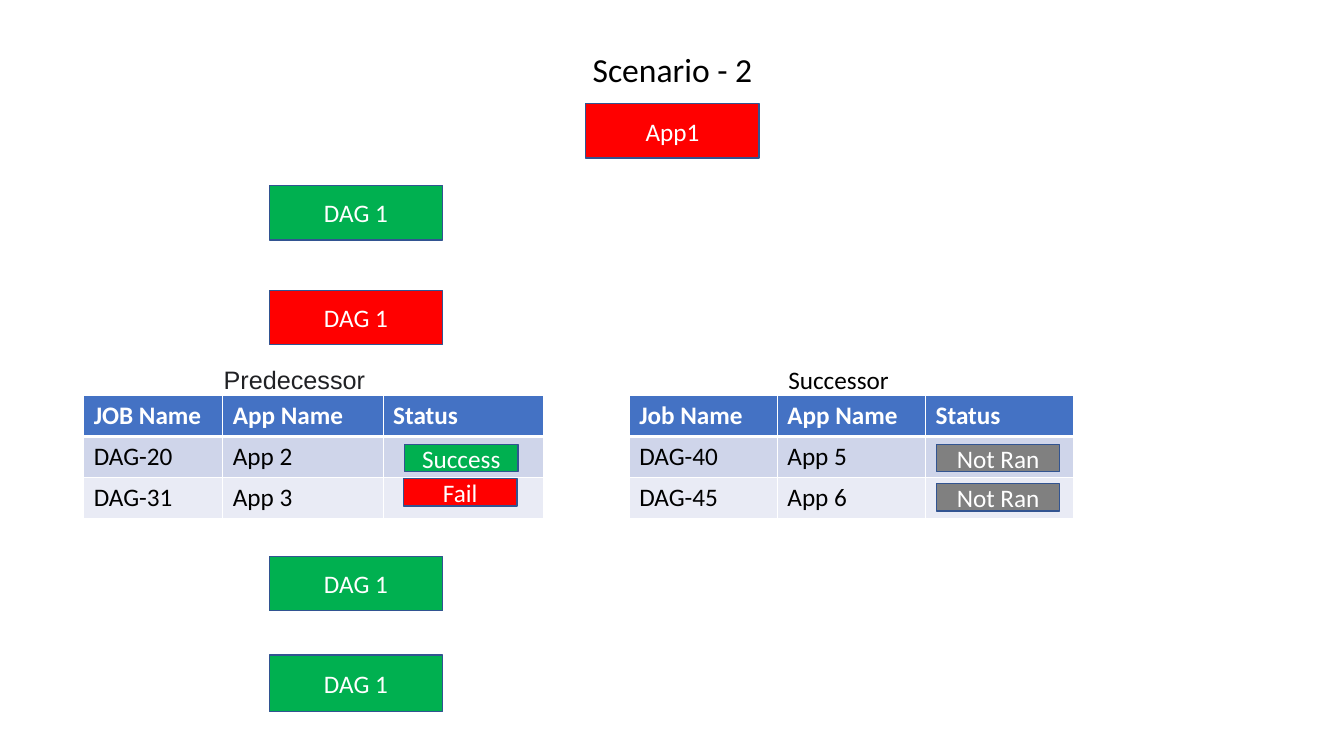
from lxml import etree
from pptx import Presentation
from pptx.dml.color import RGBColor
from pptx.enum.shapes import MSO_SHAPE
from pptx.enum.text import MSO_ANCHOR, PP_ALIGN
from pptx.oxml.ns import qn
from pptx.util import Inches, Pt

RECT = MSO_SHAPE.RECTANGLE
MID = MSO_ANCHOR.MIDDLE
LEFT, MIDST = PP_ALIGN.LEFT, PP_ALIGN.CENTER

THEME = {
    "font": "Calibri", "alt": "Arial", "title": 24, "body": 18,
    "black": "000000", "white": "FFFFFF", "ink": "202124", "edge": "325491",
    "good": "00B050", "bad": "FF0000", "idle": "808080",
    "head": "4472C4", "bands": ("CFD5EA", "E9EBF5"),
}

# Content: text, state, left, top, width, height
TITLE = "Scenario - 2"
APP = ("App1", "bad", 5.81, 1.03, 1.72, 0.54)
DAGS = [("DAG 1", state, 2.67, top, 1.72, high) for state, top, high in [
    ("good", 1.84, 0.54), ("bad", 2.88, 0.54),
    ("good", 5.52, 0.54), ("good", 6.5, 0.56)]]
BADGES = [
    ("Success", "good", 4.01, 4.41, 1.13, 0.27),
    ("Fail", "bad", 4, 4.75, 1.13, 0.27),
    ("Not Ran", "idle", 9.29, 4.41, 1.22, 0.27),
    ("Not Ran", "idle", 9.29, 4.8, 1.22, 0.27),
]
TABLES = [
    {"left": 0.83, "cols": (1.38, 1.59, 1.59), "rows": [
        ("JOB Name ", "App Name", "Status"),
        ("DAG-20", "App 2", ""), ("DAG-31", "App 3", "")]},
    {"left": 6.24, "cols": (1.47, 1.47, 1.47), "rows": [
        ("Job Name", "App Name", "Status"),
        ("DAG-40", "App 5", ""), ("DAG-45", "App 6", "")]},
]
LABELS = [("Predecessor", 2.12, 2, "alt", "ink"),
          ("Successor", 7.72, 1.72, "font", "black")]
TABLE_TOP, ROW, LABEL_TOP = 3.92, 0.41, 3.57


def rgb(code):
    return RGBColor.from_string(code)


def write(frame, text, color, size="body", font="font", bold=False, align=LEFT):
    para = frame.paragraphs[0]
    para.alignment = align
    run = para.add_run()
    run.text = text
    run.font.name = THEME[font]
    run.font.size = Pt(THEME[size])
    run.font.bold = bold
    run.font.color.rgb = rgb(THEME[color])
    return para


def add_text(slide, box, text, color, **style):
    frame = slide.shapes.add_textbox(*map(Inches, box)).text_frame
    frame.word_wrap = True
    return write(frame, text, color, **style)


def add_box(slide, text, state, *box):
    shape = slide.shapes.add_shape(RECT, *map(Inches, box))
    shape.shadow.inherit = False
    shape.fill.solid()
    shape.fill.fore_color.rgb = rgb(THEME[state])
    shape.line.color.rgb = rgb(THEME["edge"])
    shape.line.width = Pt(1)
    frame = shape.text_frame
    frame.word_wrap = True
    frame.vertical_anchor = MID
    write(frame, text, "white", align=MIDST)


def add_edges(cell, head):
    props = cell._tc.get_or_add_tcPr()
    for side in "LRTB":
        wide = Pt(3 if head and side == "B" else 1)
        line = etree.SubElement(props, qn("a:ln" + side), w=str(wide))
        fill = etree.SubElement(line, qn("a:solidFill"))
        etree.SubElement(fill, qn("a:srgbClr"), val=THEME["white"])


def add_grid(slide, left, cols, rows):
    box = (left, TABLE_TOP, sum(cols), ROW * len(rows))
    grid = slide.shapes.add_table(len(rows), len(cols), *map(Inches, box)).table
    for col, wide in zip(grid.columns, cols):
        col.width = Inches(wide)
    for r, row in enumerate(rows):
        head = r == 0
        tint = THEME["head"] if head else THEME["bands"][(r - 1) % 2]
        for c, text in enumerate(row):
            cell = grid.cell(r, c)
            add_edges(cell, head)
            cell.fill.solid()
            cell.fill.fore_color.rgb = rgb(tint)
            if text:
                write(cell.text_frame, text, "white" if head else "black", bold=head)


deck = Presentation()
deck.slide_width, deck.slide_height = Inches(13.33), Inches(7.5)
slide = deck.slides.add_slide(deck.slide_layouts[6])

# Title
para = add_text(slide, (1.67, 0.48, 10, 5.88), TITLE, "black",
                size="title", align=MIDST)
para.line_spacing = 0.9
para.space_before = Pt(10)

# App and its DAGs
for item in [APP] + DAGS:
    add_box(slide, *item)

# Job tables with labels
for item in TABLES:
    add_grid(slide, **item)
for text, left, wide, font, color in LABELS:
    add_text(slide, (left, LABEL_TOP, wide, 0.4), text, color, font=font)

# Status badges over the tables
for item in BADGES:
    add_box(slide, *item)

deck.save("out.pptx")
